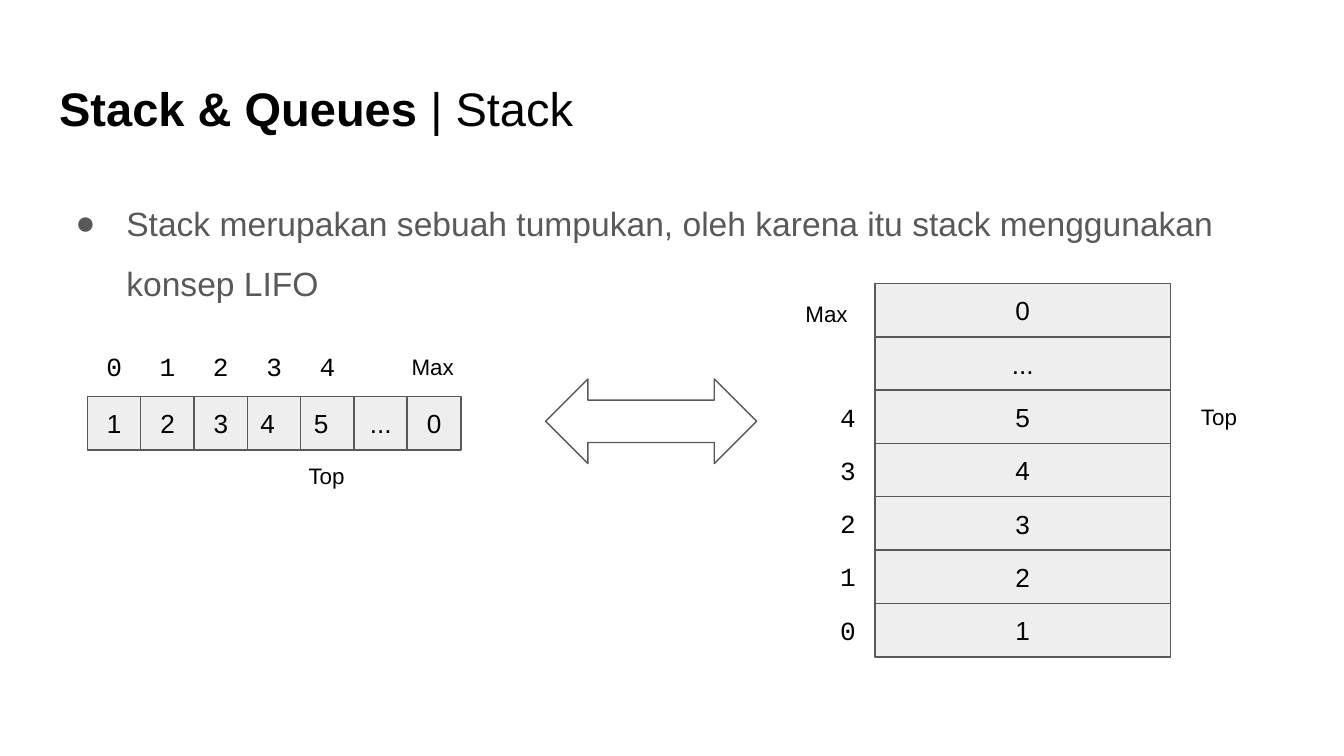
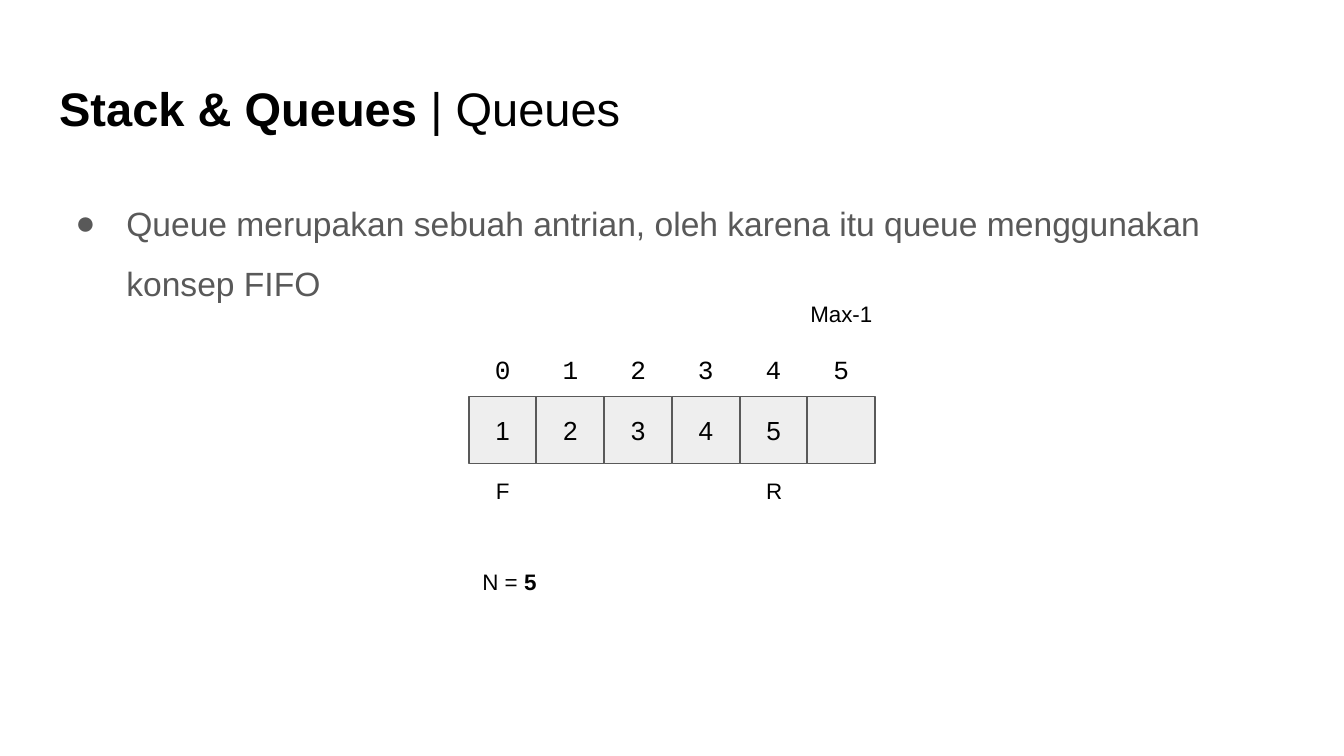
from lxml.etree import SubElement
from pptx import Presentation
from pptx.dml.color import RGBColor
from pptx.enum.shapes import MSO_SHAPE
from pptx.enum.text import MSO_ANCHOR, MSO_AUTO_SIZE, PP_ALIGN
from pptx.oxml.ns import qn
from pptx.util import Inches, Pt

BLACK = RGBColor(0x00, 0x00, 0x00)
WHITE = RGBColor(0xFF, 0xFF, 0xFF)
GRAY = RGBColor(0x59, 0x59, 0x59)
PALE = RGBColor(0xEE, 0xEE, 0xEE)
SANS = "Arial"
MONO = "Courier New"
LEFT, MID = PP_ALIGN.LEFT, PP_ALIGN.CENTER
TOP = MSO_ANCHOR.TOP


def write(shape, runs, size, font=SANS, color=BLACK, align=MID, anchor=TOP):
    """Fill a shape with one paragraph; runs are (text, bold) pairs."""
    frame = shape.text_frame
    frame.word_wrap = True
    frame.vertical_anchor = anchor
    frame.margin_left = frame.margin_right = Inches(0.1)
    frame.margin_top = frame.margin_bottom = Inches(0.1)
    para = frame.paragraphs[0]
    para.alignment = align
    for text, bold in runs:
        run = para.add_run()
        run.text = text
        run.font.name = font
        run.font.size = Pt(size)
        run.font.bold = bold
        run.font.color.rgb = color
    return para


def draw(slide, kind, fill, x, y, w, h):
    shape = slide.shapes.add_shape(kind, Inches(x), Inches(y), Inches(w), Inches(h))
    shape.shadow.inherit = False
    shape.fill.solid()
    shape.fill.fore_color.rgb = fill
    shape.line.color.rgb = GRAY
    shape.line.width = Pt(0.75)
    return shape


deck = Presentation()
deck.slide_width = Inches(10)
deck.slide_height = deck.slide_width * 9 // 16

# Title and bullet of each slide
topics = [
    ("Stack", "Stack merupakan sebuah tumpukan, oleh karena itu stack menggunakan konsep LIFO"),
    ("Queues", "Queue merupakan sebuah antrian, oleh karena itu queue menggunakan konsep FIFO"),
]
for topic, point in topics:
    slide = deck.slides.add_slide(deck.slide_layouts[1])
    title, body = slide.placeholders
    for holder, y, h in ((title, 0.49, 0.63), (body, 1.26, 3.74)):
        holder.left, holder.top = Inches(0.34), Inches(y)
        holder.width, holder.height = Inches(9.32), Inches(h)
        holder.text_frame.auto_size = MSO_AUTO_SIZE.NONE
    write(title, [("Stack & Queues", True), (f" | {topic}", False)], 25.2, align=LEFT)
    para = write(body, [(point, False)], 18, color=GRAY, align=LEFT)
    para.line_spacing = 1.5
    para.space_before = Pt(0)
    props = para._p.get_or_add_pPr()
    props.set("marL", str(Inches(0.5)))
    props.set("indent", str(Inches(-0.38)))
    tint = SubElement(props, qn("a:buClr"))
    SubElement(tint, qn("a:srgbClr"), val=str(GRAY))
    SubElement(props, qn("a:buFont"), typeface=SANS)
    SubElement(props, qn("a:buChar"), char="●")

stack, queue = deck.slides

# Rows of cells: slide, first corner, step, cell size, values, left-aligned values
STEP = 2.38 / 6
GAP = 2.52 / 5
rows = [
    (stack, 0.65, 2.95, STEP, 0, 0.4, 0.4, ["1", "2", "3", "4", "5", "...", "0"], "45"),
    (stack, 6.51, 2.11, 0, STEP, 2.2, 0.4, ["0", "...", "5", "4", "3", "2", "1"], ""),
    (queue, 3.49, 2.95, GAP, 0, 0.5, 0.5, ["1", "2", "3", "4", "5", ""], ""),
]
for slide, x, y, dx, dy, w, h, values, flush in rows:
    for i, value in enumerate(values):
        cell = draw(slide, MSO_SHAPE.RECTANGLE, PALE, x + i * dx, y + i * dy, w, h)
        if value:
            align = LEFT if value in flush else MID
            write(cell, [(value, False)], 14, align=align, anchor=MSO_ANCHOR.MIDDLE)

draw(stack, MSO_SHAPE.LEFT_RIGHT_ARROW, WHITE, 4.06, 2.82, 1.57, 0.63)

# Labels: slide, place, width, height, runs, size, font, alignment
labels = []
for slide, x, y, dx, dy, w, count in (
    (stack, 0.65, 2.51, STEP, 0, 0.4, 5),
    (stack, 6.11, 4.47, 0, -STEP, 0.4, 5),
    (queue, 3.49, 2.53, GAP, 0, 0.5, 6),
):
    for i in range(count):
        labels.append((slide, x + i * dx, y + i * dy, w, 0.44, [(str(i), False)], 14, MONO, MID))
for slide, x, y, w, text in (
    (stack, 2.86, 2.53, 0.72, "Max"),
    (stack, 2.07, 3.34, 0.72, "Top"),
    (stack, 5.79, 2.13, 0.72, "Max"),
    (stack, 8.71, 2.9, 0.72, "Top"),
    (queue, 5.8, 2.13, 0.92, "Max-1"),
    (queue, 3.28, 3.45, 0.92, "F"),
    (queue, 5.3, 3.45, 0.92, "R"),
):
    labels.append((slide, x, y, w, 0.4, [(text, False)], 12, SANS, MID))
labels.append((queue, 3.49, 4.13, 0.92, 0.4, [("N = ", False), ("5", True)], 12, SANS, LEFT))

for slide, x, y, w, h, runs, size, font, align in labels:
    label = slide.shapes.add_textbox(Inches(x), Inches(y), Inches(w), Inches(h))
    label.text_frame.auto_size = MSO_AUTO_SIZE.SHAPE_TO_FIT_TEXT
    write(label, runs, size, font, align=align)

deck.save("out.pptx")
